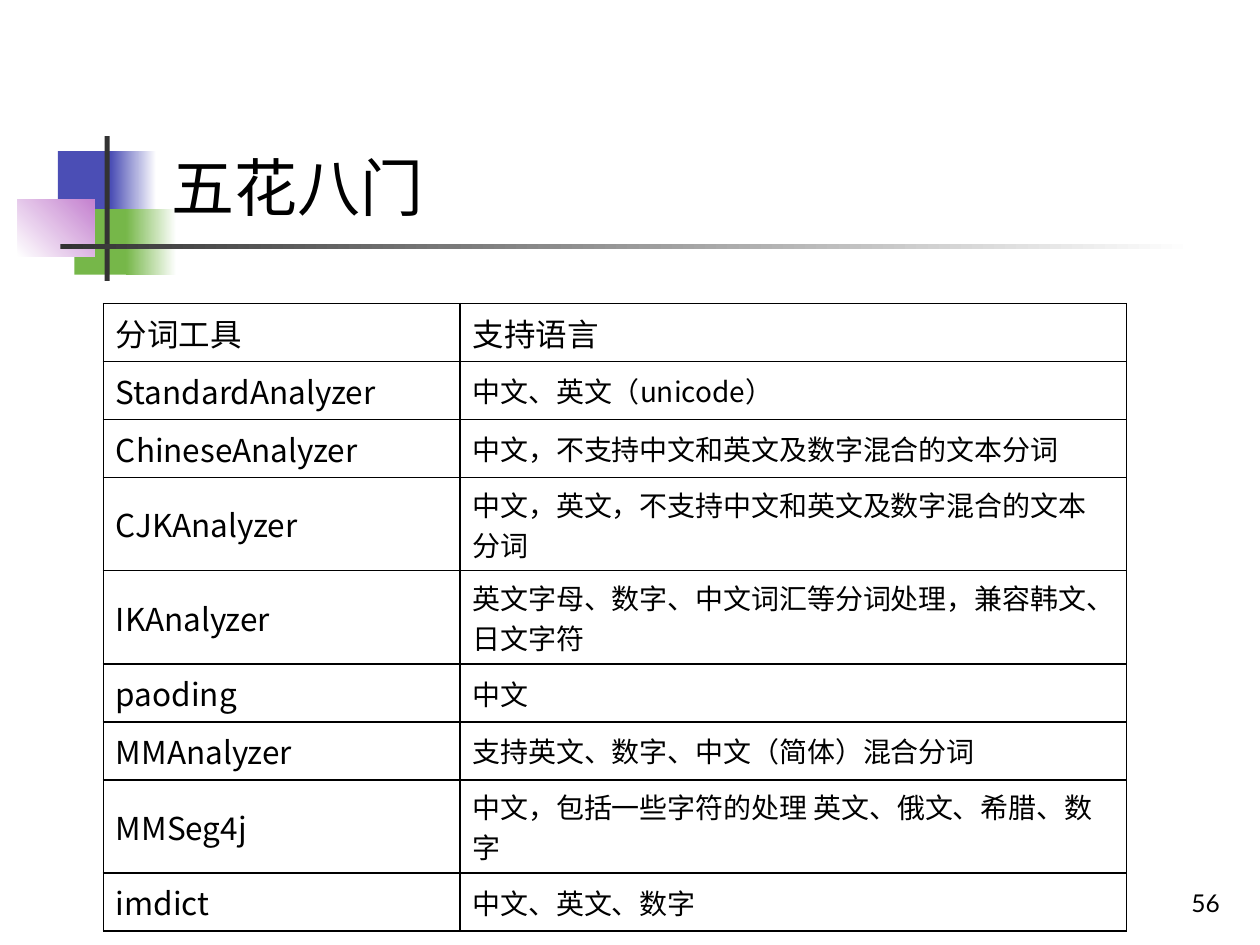
from dataclasses import dataclass
from typing import Optional

from lxml import etree
from pptx import Presentation
from pptx.dml.color import RGBColor
from pptx.enum import shapes, text
from pptx.oxml import ns
from pptx.util import Inches, Pt

COLORS = {
    "blue": "4B4EB5",
    "green": "76B749",
    "pink": "C481CF",
    "gray": "333333",
    "white": "FFFFFF",
    "black": "000000",
}
LATIN, CJK = "Lato", "Noto Sans CJK JP"


@dataclass
class Block:
    left: float
    top: float
    width: float
    height: float
    color: str
    fade_to: Optional[str] = None
    angle: float = 0


@dataclass
class Row:
    tool: str
    languages: str
    height: float = 0.46
    languages_size: float = 16


BLOCKS = [
    Block(0.46, 1.2, 0.48, 0.52, "blue"),
    Block(0.88, 1.2, 0.36, 0.52, "blue", "white"),
    Block(0.59, 1.66, 0.46, 0.52, "green"),
    Block(1, 1.66, 0.4, 0.52, "green", "white"),
    Block(0.14, 1.58, 0.61, 0.46, "white", "pink", 45),
    Block(0.83, 1.08, 0.04, 1.15, "gray"),
    Block(0.48, 1.94, 9, 0.04, "gray", "white"),
]

TWO_LINES = 0.74
ROWS = [
    Row("分词工具", "支持语言", languages_size=18),
    Row("StandardAnalyzer", "中文、英文（unicode）"),
    Row("ChineseAnalyzer", "中文，不支持中文和英文及数字混合的文本分词"),
    Row("CJKAnalyzer", "中文，英文，不支持中文和英文及数字混合的文本分词", TWO_LINES),
    Row("IKAnalyzer", "英文字母、数字、中文词汇等分词处理，兼容韩文、日文字符", TWO_LINES),
    Row("paoding", "中文"),
    Row("MMAnalyzer", "支持英文、数字、中文（简体）混合分词"),
    Row("MMSeg4j", "中文，包括一些字符的处理 英文、俄文、希腊、数字", TWO_LINES),
    Row("imdict", "中文、英文、数字"),
]
COLUMN_WIDTHS = (2.83, 5.29)


def rgb(name: str) -> RGBColor:
    return RGBColor.from_string(COLORS[name])


def write(frame, content: str, size: float, font: str, align=text.PP_ALIGN.LEFT) -> None:
    frame.text = content
    para = frame.paragraphs[0]
    para.alignment = align
    span = para.runs[0]
    span.font.size = Pt(size)
    span.font.name = font
    span.font.color.rgb = rgb("black")
    east_asian = etree.SubElement(span.font._element, ns.qn("a:ea"))
    east_asian.set("typeface", CJK)


def draw_block(page, block: Block) -> None:
    shape = page.shapes.add_shape(
        shapes.MSO_SHAPE.RECTANGLE,
        Inches(block.left), Inches(block.top), Inches(block.width), Inches(block.height),
    )
    shape.shadow.inherit = False
    shape.line.fill.background()
    if block.fade_to is None:
        shape.fill.solid()
        shape.fill.fore_color.rgb = rgb(block.color)
        return
    shape.fill.gradient()
    shape.fill.gradient_angle = block.angle
    for stop, name in zip(shape.fill.gradient_stops, (block.color, block.fade_to)):
        stop.color.rgb = rgb(name)


def add_borders(cell) -> None:
    properties = cell._tc.get_or_add_tcPr()
    for index, side in enumerate(("lnL", "lnR", "lnT", "lnB")):
        line = etree.Element(ns.qn(f"a:{side}"), w=str(Pt(1)))
        fill = etree.SubElement(line, ns.qn("a:solidFill"))
        etree.SubElement(fill, ns.qn("a:srgbClr"), val=COLORS["black"])
        properties.insert(index, line)


def fill_cell(cell, content: str, size: float) -> None:
    cell.vertical_anchor = text.MSO_ANCHOR.MIDDLE
    cell.margin_left = cell.margin_right = Inches(0.1)
    cell.margin_top = cell.margin_bottom = Inches(0.05)
    cell.fill.background()
    add_borders(cell)
    write(cell.text_frame, content, size, CJK)


def draw_table(page) -> None:
    table = page.shapes.add_table(
        len(ROWS), len(COLUMN_WIDTHS), Inches(0.82), Inches(2.41),
        Inches(sum(COLUMN_WIDTHS)), Inches(sum(row.height for row in ROWS)),
    ).table
    table.first_row = table.horz_banding = False
    for column, width in zip(table.columns, COLUMN_WIDTHS):
        column.width = Inches(width)
    for index, row in enumerate(ROWS):
        table.rows[index].height = Inches(row.height)
        fill_cell(table.cell(index, 0), row.tool, 18)
        fill_cell(table.cell(index, 1), row.languages, row.languages_size)


def main() -> None:
    deck = Presentation()
    deck.slide_width, deck.slide_height = Inches(10), Inches(7.5)
    page = deck.slides.add_slide(deck.slide_layouts[5])

    # Decoration
    for block in BLOCKS:
        draw_block(page, block)

    # Title, kept in front of the decoration
    title = page.shapes.title
    title.left, title.top = Inches(1.26), Inches(0.23)
    title.width, title.height = Inches(8.52), Inches(1.6)
    title.text_frame.vertical_anchor = text.MSO_ANCHOR.BOTTOM
    write(title.text_frame, "五花八门", 36, LATIN)
    page.shapes._spTree.append(title._element)

    # Page number
    box = page.shapes.add_textbox(Inches(7.7), Inches(6.83), Inches(2.08), Inches(0.5))
    box.text_frame.word_wrap = True
    box.text_frame.vertical_anchor = text.MSO_ANCHOR.BOTTOM
    write(box.text_frame, "56", 14, LATIN, text.PP_ALIGN.RIGHT)

    # Analyzer table
    draw_table(page)

    deck.save("out.pptx")


if __name__ == "__main__":
    main()
